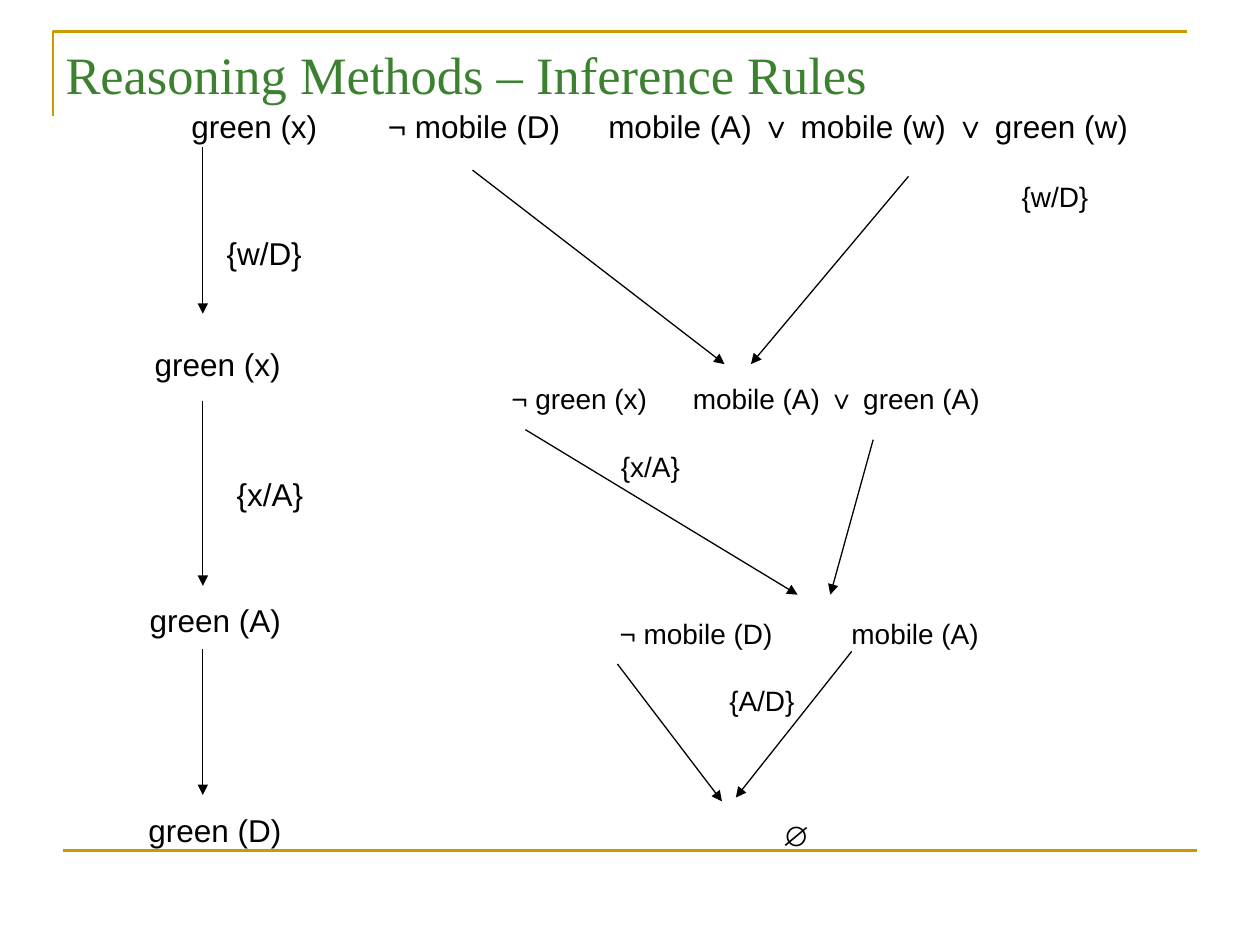
from pptx import Presentation
from pptx.dml.color import RGBColor
from pptx.enum.shapes import MSO_CONNECTOR
from pptx.enum.text import MSO_ANCHOR, MSO_AUTO_SIZE, PP_ALIGN
from pptx.oxml.ns import qn
from pptx.util import Inches, Pt
from lxml import etree

STRAIGHT = MSO_CONNECTOR.STRAIGHT
MIDDLE, LEFT, NO_FIT = MSO_ANCHOR.MIDDLE, PP_ALIGN.LEFT, MSO_AUTO_SIZE.NONE
TITLE_ONLY = 5

GOLD = RGBColor(0xCC, 0x99, 0x00)
GREEN = RGBColor(0x3B, 0x81, 0x2F)
BLACK = RGBColor(0, 0, 0)

INSET = 0.1

# Labels: text, left edge of the text, middle of the line, box width
CHAIN_LABELS = [
    ("green (x)", 1.52, 1.0, 1.2),
    ("{w/D}", 1.8, 2.01, 0.9),
    ("green (x)", 1.23, 2.89, 1.3),
    ("{x/A}", 1.88, 3.92, 0.9),
    ("green (A)", 1.19, 4.92, 1.3),
    ("green (D)", 1.18, 6.59, 1.4),
    ("¬ mobile (D)", 3.08, 1.0, 1.7),
    ("mobile (A) ∨ mobile (w) ∨ green (w)", 4.83, 1.0, 4.6),
]
RESOLUTION_LABELS = [
    ("{w/D}", 8.11, 1.56, 0.9),
    ("¬ green (x)", 4.06, 3.16, 1.4),
    ("mobile (A) ∨ green (A)", 5.5, 3.16, 2.7),
    ("{x/A}", 4.93, 3.7, 0.8),
    ("¬ mobile (D)", 4.92, 5.03, 1.6),
    ("mobile (A)", 6.76, 5.03, 1.4),
    ("{A/D}", 5.79, 5.56, 0.9),
    ("∅", 6.21, 6.63, 0.6),
]

# Arrows: start x, start y, end x, end y
CHAIN_X = 1.61
CHAIN_ARROWS = [(CHAIN_X, top, CHAIN_X, bottom) for top, bottom in
                [(1.17, 2.49), (3.18, 4.65), (5.15, 6.31)]]
RESOLUTION_ARROWS = [
    (3.75, 1.35, 5.75, 2.89), (7.21, 1.4, 5.96, 2.89),
    (4.17, 3.41, 6.33, 4.72), (6.93, 3.49, 6.59, 4.72),
    (4.9, 5.27, 5.73, 6.36), (6.76, 5.17, 5.84, 6.33),
]


def format_text(shape, text, **font_values):
    tf = shape.text_frame
    tf.word_wrap = True
    tf.auto_size = NO_FIT
    tf.vertical_anchor = MIDDLE
    p = tf.paragraphs[0]
    p.alignment = LEFT
    r = p.add_run()
    r.text = text
    color = font_values.pop("color")
    for name, value in font_values.items():
        setattr(r.font, name, value)
    r.font.color.rgb = color


def add_title(s, text):
    title = s.shapes.title
    title.left, title.top = Inches(0.42), Inches(0.25)
    title.width, title.height = Inches(8.75), Inches(0.67)
    format_text(title, text, name="Times New Roman", size=Pt(30), color=GREEN)


def add_label(s, text, x, middle, width, size):
    height = 0.4
    box = s.shapes.add_textbox(Inches(x - INSET), Inches(middle - height / 2),
                               Inches(width), Inches(height))
    format_text(box, text, name="Arial", size=Pt(size), color=BLACK)


def add_line(s, ends, color, weight, arrow=False):
    line = s.shapes.add_connector(STRAIGHT, *map(Inches, ends))
    line.line.color.rgb = color
    line.line.width = Pt(weight)
    if arrow:
        etree.SubElement(line.line._get_or_add_ln(), qn("a:tailEnd"), type="triangle")
    etree.SubElement(line._element.spPr, qn("a:effectLst"))


def add_corner(s):
    builder = s.shapes.build_freeform(Inches(0.42), Inches(0.92))
    builder.add_line_segments([(Inches(0.42), Inches(0.25)),
                               (Inches(9.42), Inches(0.25))], close=False)
    corner = builder.convert_to_shape()
    corner.shadow.inherit = False
    corner.fill.background()
    corner.line.color.rgb = GOLD
    corner.line.width = Pt(1.5)


def main():
    prs = Presentation()
    prs.slide_width, prs.slide_height = Inches(10), Inches(7.5)
    s = prs.slides.add_slide(prs.slide_layouts[TITLE_ONLY])

    # Frame and title
    add_corner(s)
    add_line(s, (0.5, 6.75, 9.5, 6.75), GOLD, 1.5)
    add_title(s, "Reasoning Methods – Inference Rules")

    # Inference steps
    for ends in CHAIN_ARROWS + RESOLUTION_ARROWS:
        add_line(s, ends, BLACK, 0.75, arrow=True)

    # Clauses and substitutions
    for labels, size in [(CHAIN_LABELS, 18), (RESOLUTION_LABELS, 16)]:
        for label in labels:
            add_label(s, *label, size)

    prs.save("out.pptx")


if __name__ == "__main__":
    main()
